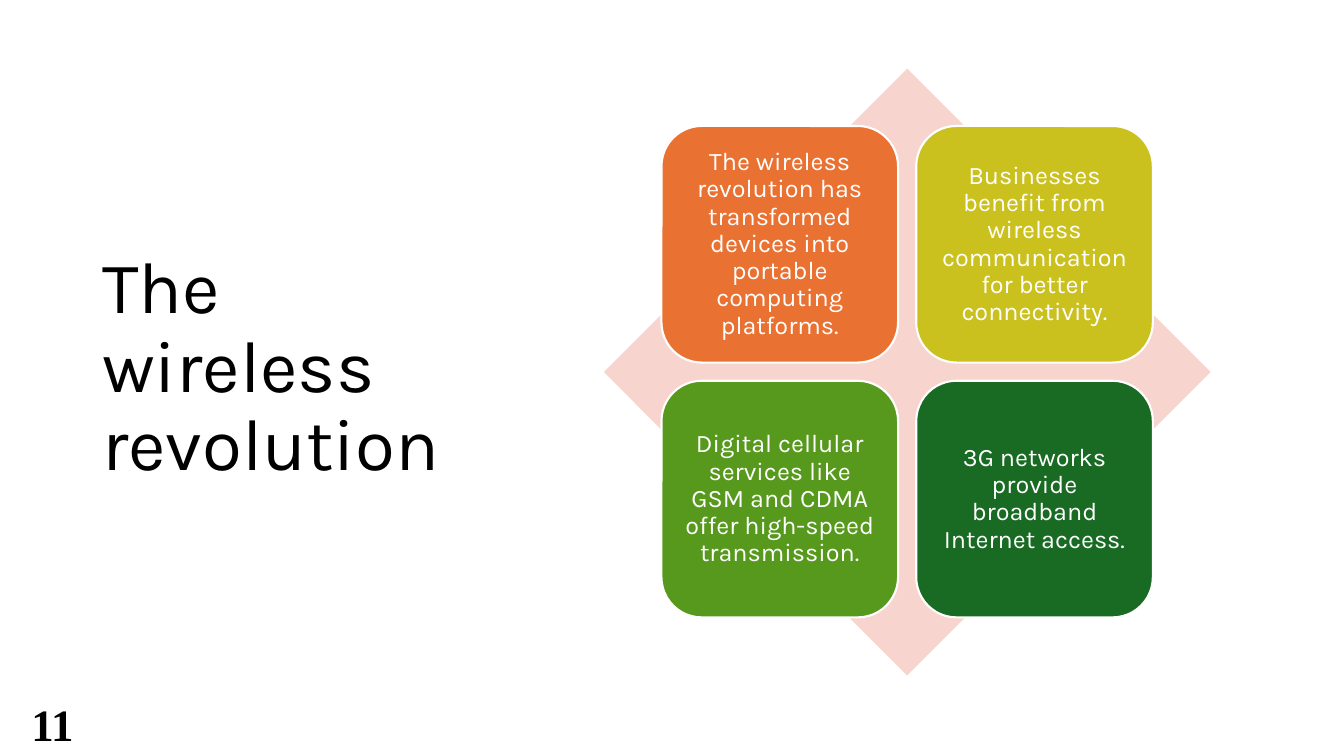
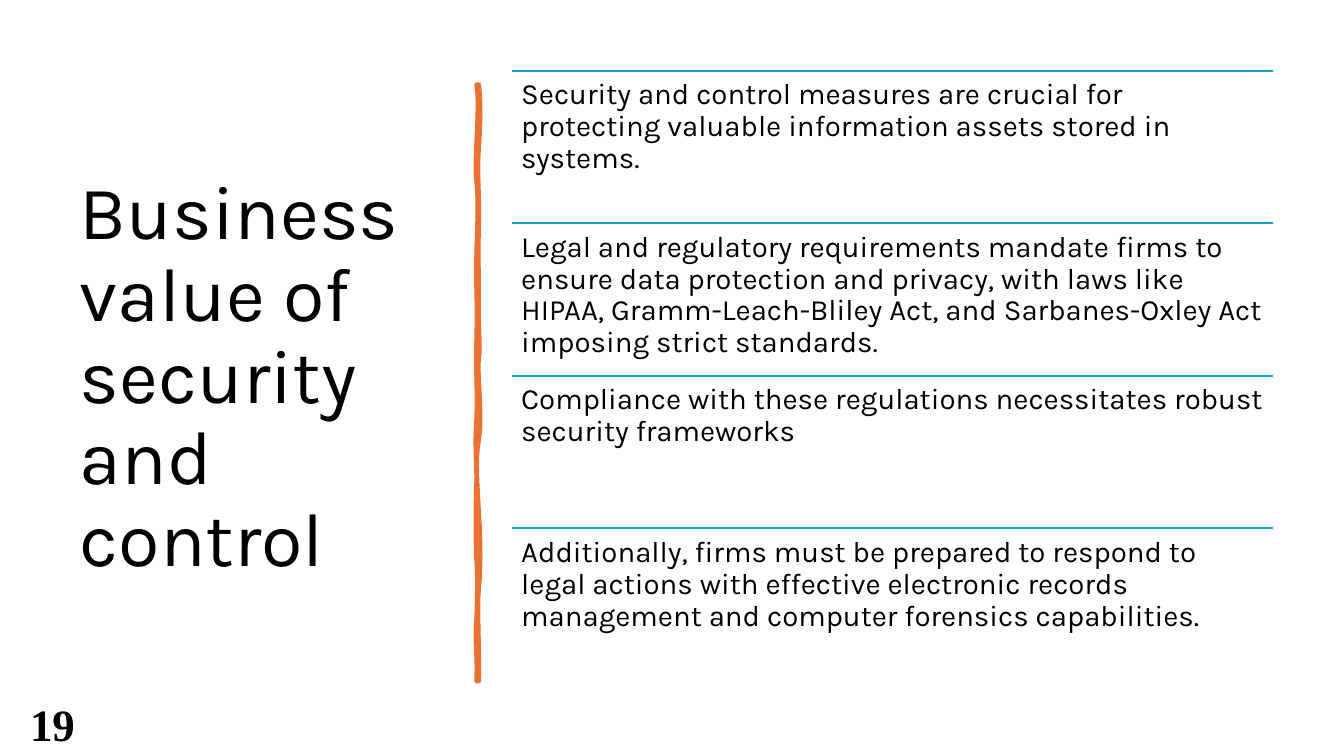
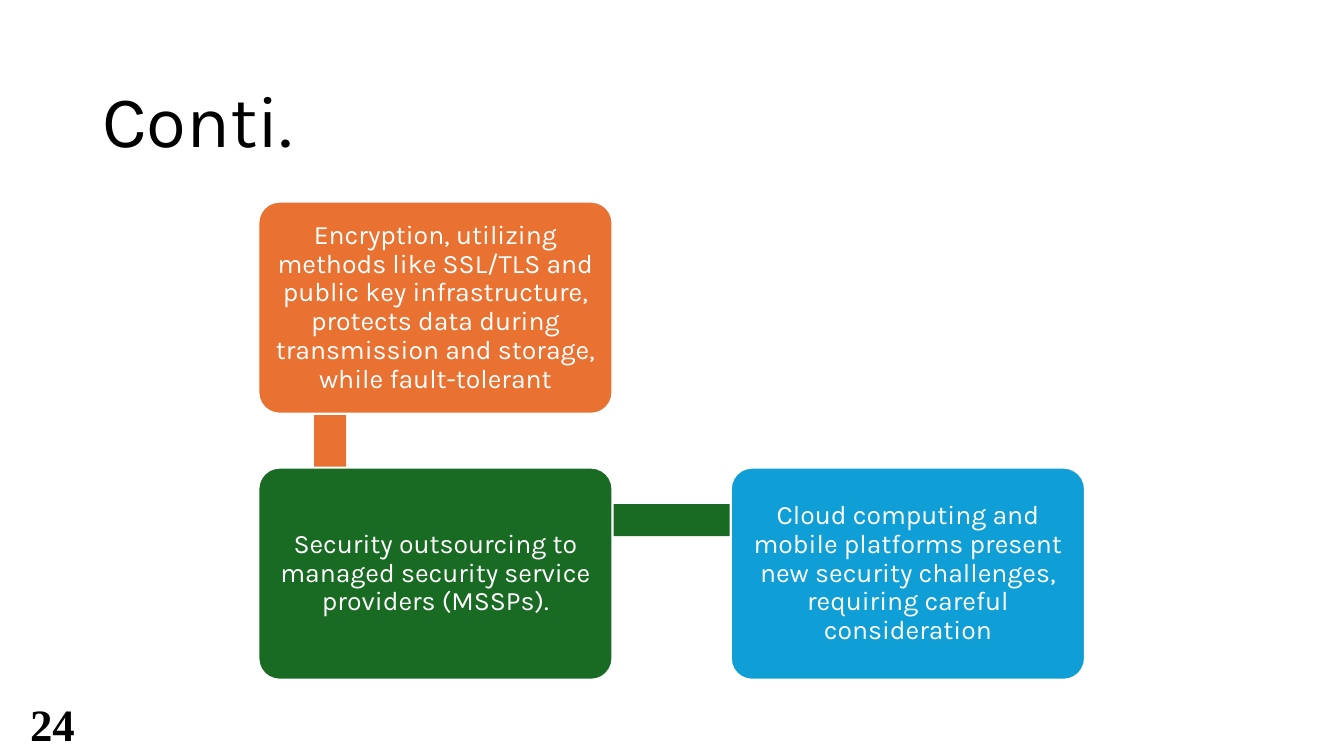
from pptx import Presentation
from pptx.dml.color import RGBColor as RGB
from pptx.enum.shapes import MSO_CONNECTOR as Conn, MSO_SHAPE as Form
from pptx.enum.text import MSO_ANCHOR as Anchor, PP_ALIGN as Align
from pptx.oxml.ns import qn
from pptx.util import Pt
from lxml import etree

# Shared look
BLACK, WHITE = RGB(0, 0, 0), RGB(255, 255, 255)
ORANGE, BLUE = RGB(0xE9, 0x71, 0x32), RGB(0x0F, 0x9E, 0xD5)
LIME, GRASS = RGB(0xCB, 0xC1, 0x1E), RGB(0x56, 0x99, 0x1D)
GREEN, PINK = RGB(0x19, 0x6B, 0x24), RGB(0xF7, 0xD5, 0xCE)
SANS, SERIF = "Karla", "Times New Roman"

# Content: title, title size, title box, page number
HEADS = [
    ("The wireless revolution", 52, (66, 44, 266, 438.5), "11"),
    ("Business value of security and control", 54, (50, 50.4, 269, 440), "19"),
    ("Conti.", 52, (66, 44, 828, 89.5), "24"),
]
TILES = [
    ("The wireless revolution has transformed devices into portable "
     "computing platforms.", ORANGE),
    ("Businesses benefit from wireless communication for better "
     "connectivity.", LIME),
    ("Digital cellular services like GSM and CDMA offer high-speed "
     "transmission.", GRASS),
    ("3G networks provide broadband Internet access.", GREEN),
]
RULES = [
    "Security and control measures are crucial for protecting valuable "
    "information assets stored in systems.",
    "Legal and regulatory requirements mandate firms to ensure data "
    "protection and privacy, with laws like HIPAA, Gramm-Leach-Bliley Act, "
    "and Sarbanes-Oxley Act imposing strict standards.",
    "Compliance with these regulations necessitates robust security "
    "frameworks",
    "Additionally, firms must be prepared to respond to legal actions with "
    "effective electronic records management and computer forensics "
    "capabilities.",
]
# Text, colour, column, row
STEPS = [
    ("Encryption, utilizing methods like SSL/TLS and public key "
     "infrastructure, protects data during transmission and storage, while "
     "fault-tolerant", ORANGE, 0, 0),
    ("Security outsourcing to managed security service providers (MSSPs).",
     GREEN, 0, 1),
    ("Cloud computing and mobile platforms present new security challenges, "
     "requiring careful consideration", BLUE, 1, 1),
]
# Brush edges: x, start y, then curves as (dx1, y1, dx2, y2, end y)
EDGES = [
    (342, 60.5, [
        (1.4, 73, 1.4, 86, 105), (-1.4, 125, 0.7, 140, 163),
        (-0.7, 185, 0, 189, 212), (-0.7, 234, 1.4, 246, 256),
        (-1.4, 266, 2.9, 298, 314), (-2.9, 329, -0.7, 348, 367),
        (1.4, 386, 1.4, 406, 420), (-1.4, 434, 0.7, 468, 486.5)]),
    (340.5, 486.5, [
        (0.7, 465, -1.4, 464, 441), (0.7, 420, 0.7, 410, 401),
        (-0.7, 392, -0.7, 356, 343), (0, 330, -1.4, 320, 299),
        (0.7, 278, -0.7, 269, 241), (0.7, 215, -0.7, 202, 180),
        (0.7, 157, 1.4, 144, 130), (-2.2, 117, 2.9, 75, 60.5)]),
]


def write(shape, text, size, color=BLACK, font=SANS, bold=False, pad=None,
          align=Align.LEFT, anchor=Anchor.TOP, lead=0.9):
    frame = shape.text_frame
    frame.word_wrap = True
    frame.vertical_anchor = anchor
    if pad:
        frame.margin_left = frame.margin_right = Pt(pad)
        frame.margin_top = frame.margin_bottom = Pt(pad)
    frame.text = text
    para = frame.paragraphs[0]
    para.alignment, para.line_spacing = align, lead
    face = para.runs[0].font
    face.name, face.size, face.bold = font, Pt(size), bold
    face.color.rgb = color


def label(slide, box, text, size, **style):
    write(slide.shapes.add_textbox(*map(Pt, box)), text, size, **style)


def block(slide, form, box, fill, edge=None):
    shape = slide.shapes.add_shape(form, *map(Pt, box))
    paint(shape, fill, edge, 1.5)
    return shape


def paint(shape, fill, edge, width):
    shape.shadow.inherit = False
    shape.fill.solid()
    shape.fill.fore_color.rgb = fill
    if edge is None:
        shape.line.fill.background()
    else:
        shape.line.color.rgb = edge
        shape.line.width = Pt(width)


def card(slide, box, fill, text, size, pad, round_by):
    shape = block(slide, Form.ROUNDED_RECTANGLE, box, fill, WHITE)
    shape.adjustments[0] = round_by
    write(shape, text, size, WHITE, pad=pad, align=Align.CENTER,
          anchor=Anchor.MIDDLE)


def rule(slide, left, top, width):
    line = slide.shapes.add_connector(
        Conn.STRAIGHT, Pt(left), Pt(top), Pt(left + width), Pt(top))
    line.line.color.rgb, line.line.width = BLUE, Pt(1.5)
    etree.SubElement(line._element.spPr, qn("a:effectLst"))


def trace(x, y, curves, steps=8):
    """Points along a chain of cubic curves that return to x."""
    dots = [(x, y)]
    for dx1, y1, dx2, y2, end in curves:
        for i in range(1, steps + 1):
            t = i / steps
            u = 1 - t
            b, c = 3 * u * u * t, 3 * u * t * t
            dots.append((x + b * dx1 + c * dx2,
                         u ** 3 * y + b * y1 + c * y2 + t ** 3 * end))
        y = end
    return dots


def brush(slide):
    dots = [(Pt(x), Pt(y)) for edge in EDGES for x, y in trace(*edge)]
    path = slide.shapes.build_freeform(*dots[0], scale=1.0)
    path.add_line_segments(dots[1:], close=True)
    shape = path.convert_to_shape()
    paint(shape, ORANGE, ORANGE, 3.25)
    etree.SubElement(shape.line._get_or_add_ln(), qn("a:round"))


def wireless(slide):
    block(slide, Form.DIAMOND, (431.3, 49, 433.5, 433.5), PINK)
    side, pitch = 169, 182
    for i, (text, fill) in enumerate(TILES):
        row, col = divmod(i, 2)
        box = (472.5 + col * pitch, 90 + row * pitch, side, side)
        card(slide, box, fill, text, 18, 5, 0.17)


def security(slide):
    brush(slide)
    left, width, pitch = 366, 543.5, 109
    for i, text in enumerate(RULES):
        top = 50.4 + i * pitch
        rule(slide, left, top, width)
        label(slide, (left, top, width, pitch), text, 21, pad=6.3)


def steps(slide):
    left, top, wide, high = 184.5, 144, 253, 151.5
    across, down, bar = 337.5, 190, 23
    # Links run behind the cards
    block(slide, Form.RECTANGLE, (224.3, 182, bar, down), ORANGE)
    block(slide, Form.RECTANGLE, (236, 360, across, bar), GREEN)
    for text, fill, col, row in STEPS:
        box = (left + col * across, top + row * down, wide, high)
        card(slide, box, fill, text, 19, 5.7, 0.1)


def main():
    deck = Presentation()
    deck.slide_width, deck.slide_height = Pt(960), Pt(540)
    for head, body in zip(HEADS, (wireless, security, steps)):
        title, size, box, page = head
        slide = deck.slides.add_slide(deck.slide_layouts[6])
        label(slide, box, title, size, anchor=Anchor.MIDDLE)
        body(slide)
        label(slide, (5, 494, 65, 46), page, 32, font=SERIF, bold=True,
              align=Align.CENTER, lead=1.0)
    deck.save("out.pptx")


if __name__ == "__main__":
    main()
